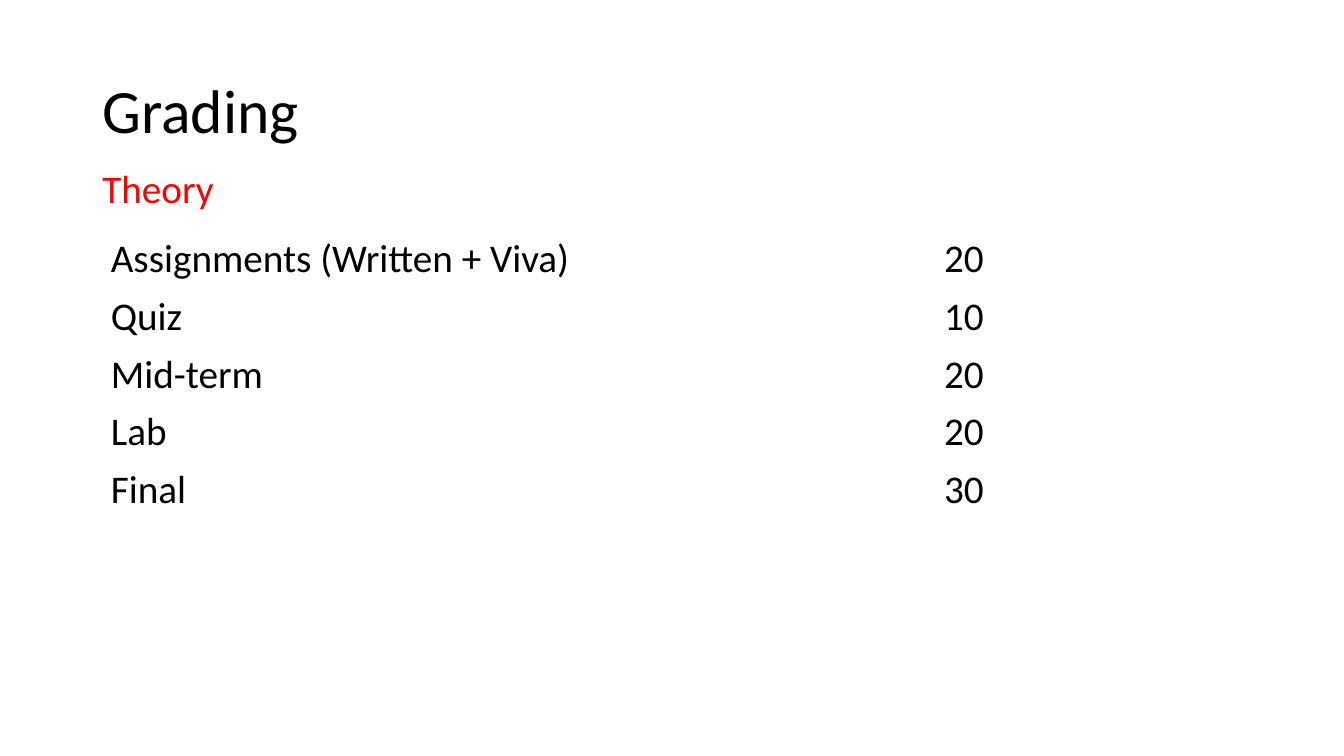
from pptx import Presentation
from pptx.dml.color import RGBColor
from pptx.enum.text import MSO_ANCHOR, PP_ALIGN
from pptx.util import Cm, Pt

LEFT, CENTER = PP_ALIGN.LEFT, PP_ALIGN.CENTER
TOP, MIDDLE = MSO_ANCHOR.TOP, MSO_ANCHOR.MIDDLE
BLACK = RGBColor(0x00, 0x00, 0x00)
RED = RGBColor(0xFF, 0x00, 0x00)
FONT = "Calibri"

TITLE = "Grading"
SECTION = "Theory"
WEIGHTS = [
    ("Assignments (Written + Viva)", "20"),
    ("Quiz", "10"),
    ("Mid-term", "20"),
    ("Lab", "20"),
    ("Final", "30"),
]

MARGIN, TEXT_WIDTH = Cm(2.33), Cm(29.21)
TABLE_LEFT, TABLE_TOP = Cm(2.54), Cm(5.79)
COLUMN_WIDTH, ROW_HEIGHT = Cm(14.5), Cm(1.46)


def style(paragraph, size, color, align=LEFT):
    paragraph.alignment = align
    paragraph.font.name = FONT
    paragraph.font.size = Pt(size)
    paragraph.font.color.rgb = color


def add_heading(slide, text, top, height, size, color, anchor, space_before):
    frame = slide.shapes.add_textbox(MARGIN, top, TEXT_WIDTH, height).text_frame
    frame.word_wrap = True
    frame.vertical_anchor = anchor
    frame.text = text
    paragraph = frame.paragraphs[0]
    paragraph.line_spacing = 0.9
    paragraph.space_before = Pt(space_before)
    style(paragraph, size, color)


def add_weights(slide):
    table = slide.shapes.add_table(
        len(WEIGHTS), 2, TABLE_LEFT, TABLE_TOP,
        COLUMN_WIDTH * 2, ROW_HEIGHT * len(WEIGHTS)).table
    table.first_row = False
    table.horz_banding = False
    for row, entry in enumerate(WEIGHTS):
        for column, (text, align) in enumerate(zip(entry, (LEFT, CENTER))):
            cell = table.cell(row, column)
            cell.fill.background()
            cell.vertical_anchor = MIDDLE
            cell.text = text
            style(cell.text_frame.paragraphs[0], 28, BLACK, align)


def main():
    deck = Presentation()
    deck.slide_width, deck.slide_height = Cm(33.87), Cm(19.05)
    slide = deck.slides.add_slide(deck.slide_layouts[6])
    add_heading(slide, TITLE, Cm(1.01), Cm(3.68), 44, BLACK, MIDDLE, 0)
    add_heading(slide, SECTION, Cm(4.14), Cm(13), 28, RED, TOP, 10)
    add_weights(slide)
    deck.save("out.pptx")


if __name__ == "__main__":
    main()
